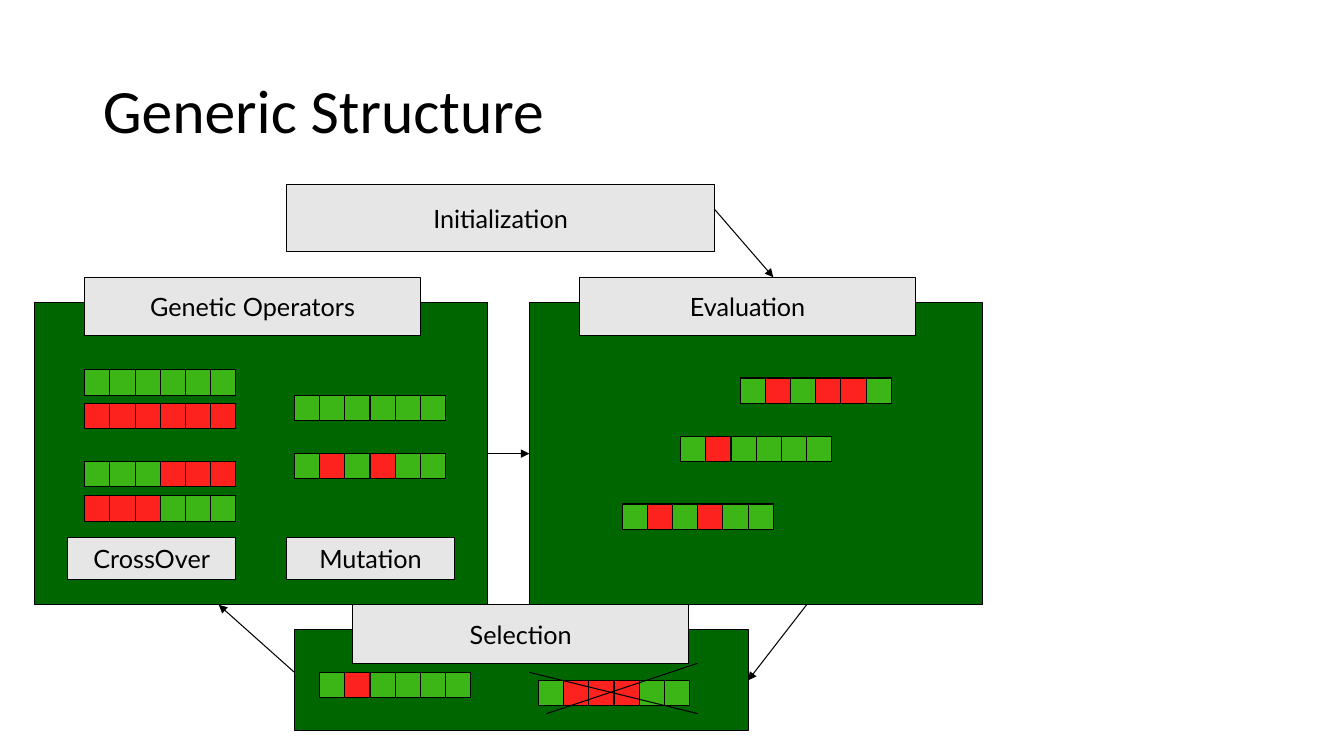
import pptx
import pptx.dml.color
import pptx.enum.shapes
import pptx.enum.text
import pptx.oxml.xmlchemy
import pptx.util
from pptx.util import Inches

BLACK = "000000"
PANEL_GREEN = "006600"
LABEL_GREY = "E7E6E6"
GENE_COLOURS = {"G": "3CB616", "R": "FD221D"}
GENE_SIZE = 0.25

# Left, top and genes of each chromosome
CROSSOVER = [
    (0.84, 3.67, "GGGGGG"),
    (0.84, 4, "RRRRRR"),
    (0.84, 4.58, "GGGRRR"),
    (0.84, 4.92, "RRRGGG"),
]
MUTATION = [(2.92, 3.92, "GGGGGG"), (2.92, 4.5, "GRGRGG")]
EVALUATED = [(6.17, 5, "GRGRGG"), (6.75, 4.33, "GRGGGG"), (7.34, 3.75, "GRGRRG")]
SELECTED = [(3.17, 6.67, "GRGGGG"), (5.34, 6.75, "GRRRGG")]


def colour(hex_code):
    return pptx.dml.color.RGBColor.from_string(hex_code)


def write(frame, text, *, font, size, align, color=BLACK, wrap=True, spacing=None):
    frame.auto_size = pptx.enum.text.MSO_AUTO_SIZE.NONE
    frame.word_wrap = wrap
    frame.vertical_anchor = pptx.enum.text.MSO_ANCHOR.MIDDLE
    paragraph = frame.paragraphs[0]
    paragraph.alignment = align
    paragraph.line_spacing = spacing
    run = paragraph.add_run()
    run.text = text
    run.font.name = font
    run.font.size = pptx.util.Pt(size)
    run.font.color.rgb = colour(color)


class Diagram:
    """Holds the shared style and the slide being drawn."""

    def __init__(self, slide, line_width=0.75):
        self.slide = slide
        self.line_width = pptx.util.Pt(line_width)

    def title(self, text):
        heading = self.slide.shapes.title
        heading.left, heading.top = Inches(0.92), Inches(0.4)
        heading.width, heading.height = Inches(11.5), Inches(1.45)
        write(heading.text_frame, text, font="Calibri", size=44, spacing=0.9,
              align=pptx.enum.text.PP_ALIGN.LEFT)

    def box(self, left, top, width, height, fill):
        rectangle = self.slide.shapes.add_shape(
            pptx.enum.shapes.MSO_SHAPE.RECTANGLE,
            Inches(left), Inches(top), Inches(width), Inches(height))
        rectangle.shadow.inherit = False
        rectangle.fill.solid()
        rectangle.fill.fore_color.rgb = colour(fill)
        rectangle.line.color.rgb = colour(BLACK)
        rectangle.line.width = self.line_width
        return rectangle

    def label(self, text, left, top, width, height):
        caption = self.box(left, top, width, height, LABEL_GREY)
        write(caption.text_frame, text, font="Lato", size=18, wrap=False,
              align=pptx.enum.text.PP_ALIGN.CENTER)

    def stage(self, text, left, top, height, label_left):
        """Draw a green panel with its heading across the top edge."""
        panel = self.box(left, top, 4.5, height, PANEL_GREEN)
        self.label(text, label_left, top - 0.25, 3.33, 0.58)
        return panel

    def chromosomes(self, rows):
        for left, top, genes in rows:
            for position, gene in enumerate(genes):
                self.box(left + position * GENE_SIZE, top, GENE_SIZE, GENE_SIZE,
                         GENE_COLOURS[gene])

    def line(self, start, end, arrow=False):
        connector = self.slide.shapes.add_connector(
            pptx.enum.shapes.MSO_CONNECTOR.STRAIGHT,
            *(Inches(value) for value in (*start, *end)))
        connector.line.color.rgb = colour(BLACK)
        connector.line.width = self.line_width
        if arrow:
            head = pptx.oxml.xmlchemy.OxmlElement("a:tailEnd")
            head.set("type", "triangle")
            connector.line._get_or_add_ln().append(head)
        properties = connector._element.spPr
        properties.append(pptx.oxml.xmlchemy.OxmlElement("a:effectLst"))
        return connector


def main():
    deck = pptx.Presentation()
    deck.slide_width, deck.slide_height = Inches(13.33), Inches(7.5)
    diagram = Diagram(deck.slides.add_slide(deck.slide_layouts[5]))

    diagram.title("Generic Structure")
    diagram.label("Initialization", 2.84, 1.83, 4.25, 0.67)

    operators = diagram.stage("Genetic Operators", 0.34, 3, 3, label_left=0.84)
    diagram.label("CrossOver", 0.67, 5.33, 1.67, 0.42)
    diagram.label("Mutation", 2.84, 5.33, 1.67, 0.42)
    diagram.chromosomes(CROSSOVER + MUTATION)

    evaluation = diagram.stage("Evaluation", 5.25, 3, 3, label_left=5.75)
    diagram.chromosomes(EVALUATED)

    selection = diagram.stage("Selection", 2.92, 6.25, 1, label_left=3.5)
    diagram.chromosomes(SELECTED)
    diagram.line((5.25, 6.67), (6.92, 7.08))
    diagram.line((5.42, 7.08), (6.92, 6.58))

    diagram.line((7.09, 2.08), (7.67, 2.75), arrow=True)
    to_evaluation = diagram.line((4.84, 4.5), (5.25, 4.5), arrow=True)
    to_evaluation.begin_connect(operators, 3)
    to_evaluation.end_connect(evaluation, 1)
    to_selection = diagram.line((8, 6), (7.42, 6.75), arrow=True)
    to_selection.end_connect(selection, 3)
    diagram.line((2.92, 6.67), (2.17, 6), arrow=True)

    deck.save("out.pptx")


if __name__ == "__main__":
    main()
